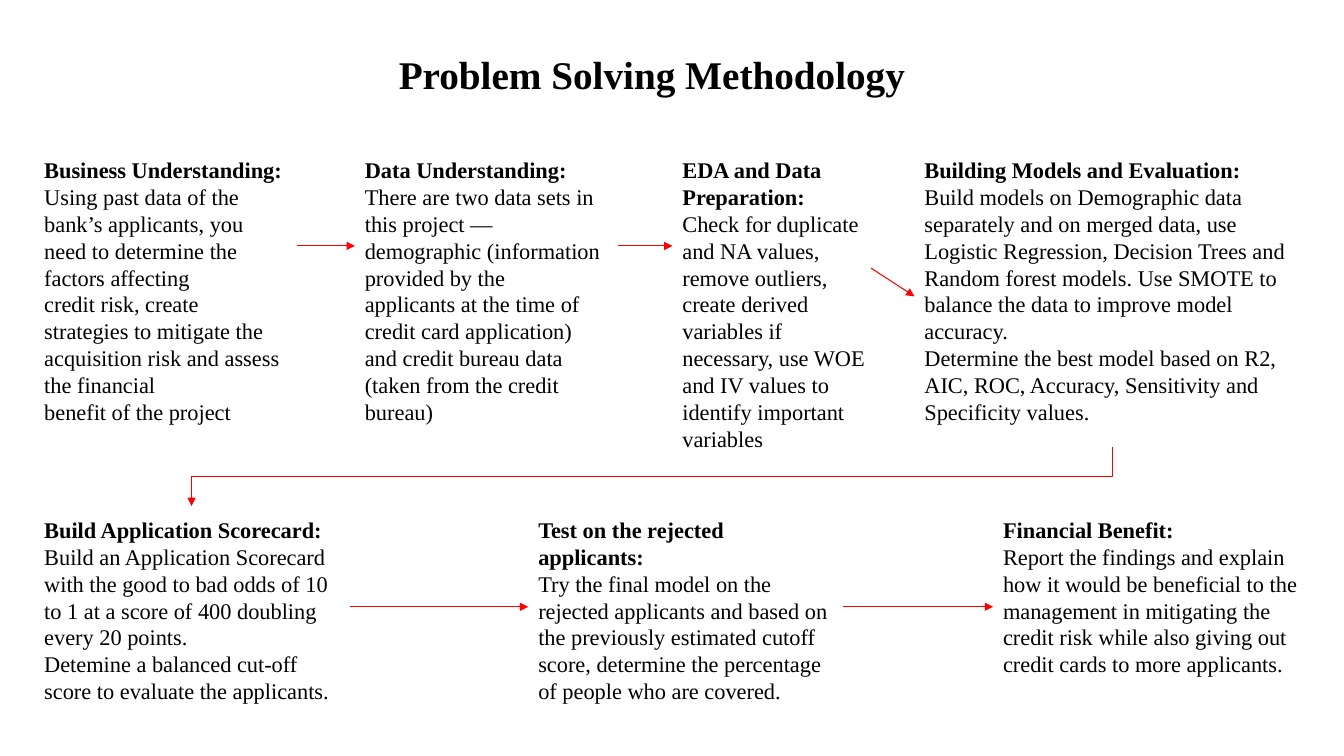
"""Build the Problem Solving Methodology slide: seven steps joined by arrows."""
from typing import NamedTuple

import pptx
import pptx.dml.color
import pptx.enum.shapes
import pptx.enum.text
import pptx.oxml
import pptx.oxml.ns
import pptx.util

Inches, Pt = pptx.util.Inches, pptx.util.Pt
BLACK = pptx.dml.color.RGBColor(0x00, 0x00, 0x00)
RED = pptx.dml.color.RGBColor(0xFF, 0x00, 0x00)
FONT = "Times New Roman"
TOP_ROW, BOTTOM_ROW = 1.45, 5.02
TOP_ARROW, BOTTOM_ARROW = 2.44, 6.02


class Step(NamedTuple):
    left: float
    top: float
    width: float
    height: float
    heading: str
    body: tuple[str, ...]


class Arrow(NamedTuple):
    x1: float
    y1: float
    x2: float
    y2: float


STEPS = [
    Step(0.34, TOP_ROW, 2.61, 1.98, "Business Understanding:", (
        "Using past data of the bank’s applicants, you need to determine the factors affecting",
        "credit risk, create strategies to mitigate the acquisition risk and assess the financial",
        "benefit of the project")),
    Step(3.52, TOP_ROW, 2.61, 1.98, "Data Understanding:", (
        "There are two data sets in this project — demographic (information provided by the",
        "applicants at the time of credit card application) and credit bureau data "
        "(taken from the credit bureau)")),
    Step(6.67, TOP_ROW, 2.13, 1.98, "EDA and Data Preparation:", (
        "Check for duplicate and NA values, remove outliers, create derived variables if "
        "necessary, use WOE and IV values to identify important variables",)),
    Step(9.07, TOP_ROW, 3.92, 2.97, "Building Models and Evaluation:", (
        "Build models on Demographic data separately and on merged data, use Logistic "
        "Regression, Decision Trees and Random forest models. Use SMOTE to balance the data "
        "to improve model accuracy.",
        "Determine the best model based on R2, AIC, ROC, Accuracy, Sensitivity and",
        "Specificity values.")),
    Step(0.34, BOTTOM_ROW, 3.12, 1.98, "Build Application Scorecard:", (
        "Build an Application Scorecard with the good to bad odds of 10 to 1 at a score of "
        "400 doubling every 20 points.",
        "Detemine a balanced cut-off score to evaluate the applicants.")),
    Step(5.24, BOTTOM_ROW, 3.12, 1.98, "Test on the rejected applicants:", (
        "Try the final model on the rejected applicants and based on the previously estimated "
        "cutoff score, determine the percentage of people who are covered.",)),
    Step(9.85, BOTTOM_ROW, 3.12, 1.98, "Financial Benefit:", (
        "Report the findings and explain how it would be beneficial to the management in "
        "mitigating the credit risk while also giving out credit cards to more applicants.",)),
]

ARROWS = [
    Arrow(2.95, TOP_ARROW, 3.52, TOP_ARROW),
    Arrow(6.13, TOP_ARROW, 6.67, TOP_ARROW),
    Arrow(8.64, 2.66, 9.07, 2.94),
    Arrow(3.47, BOTTOM_ARROW, 5.24, BOTTOM_ARROW),
    Arrow(8.36, BOTTOM_ARROW, 9.85, BOTTOM_ARROW),
]
ROW_TURN = Arrow(11.03, 4.43, 1.9, 5.02)


def write(p, text: str, *, size: float = 16, bold: bool = False,
          align=pptx.enum.text.PP_ALIGN.LEFT, spacing=Pt(19.2)) -> None:
    """Add one formatted run to a paragraph."""
    p.alignment = align
    p.line_spacing = spacing
    r = p.add_run()
    r.text = text
    r.font.name, r.font.size, r.font.bold = FONT, Pt(size), bold
    r.font.color.rgb = BLACK


def set_frame(tf) -> None:
    """Give a text frame wrapping, top anchoring and equal insets."""
    tf.word_wrap = True
    tf.auto_size = pptx.enum.text.MSO_AUTO_SIZE.NONE
    tf.vertical_anchor = pptx.enum.text.MSO_ANCHOR.TOP
    tf.margin_left = tf.margin_right = tf.margin_top = tf.margin_bottom = Inches(0.1)


def add_title(s, text: str) -> None:
    """Place and fill the title placeholder."""
    sp = s.shapes.title
    sp.left, sp.top, sp.width, sp.height = map(Inches, (3.48, 0.45, 5.97, 0.73))
    set_frame(sp.text_frame)
    write(sp.text_frame.paragraphs[0], text, size=28, bold=True,
          align=pptx.enum.text.PP_ALIGN.CENTER, spacing=0.9)


def add_step(s, step: Step) -> None:
    """Draw one step: a bold heading over its body paragraphs."""
    sp = s.shapes.add_textbox(*map(Inches, step[:4]))
    tf = sp.text_frame
    set_frame(tf)
    write(tf.paragraphs[0], step.heading, bold=True)
    for text in step.body:
        write(tf.add_paragraph(), text)


def add_arrow(s, arrow: Arrow, kind=pptx.enum.shapes.MSO_CONNECTOR.STRAIGHT):
    """Draw a red connector with a triangle at its end."""
    cxn = s.shapes.add_connector(kind, *map(Inches, arrow))
    cxn.line.color.rgb = RED
    cxn.line.width = Pt(0.75)
    ln = cxn.line._get_or_add_ln()
    ln.append(pptx.oxml.parse_xml(
        f'<a:tailEnd {pptx.oxml.ns.nsdecls("a")} type="triangle"/>'))
    cxn._element.spPr.append(pptx.oxml.parse_xml(
        f'<a:effectLst {pptx.oxml.ns.nsdecls("a")}/>'))
    return cxn


def add_row_turn(s, arrow: Arrow) -> None:
    """Draw a down-left-down elbow as an elbow turned by a quarter."""
    mid_x, mid_y = (arrow.x1 + arrow.x2) / 2, (arrow.y1 + arrow.y2) / 2
    half_w, half_h = (arrow.y2 - arrow.y1) / 2, (arrow.x1 - arrow.x2) / 2
    turned = Arrow(mid_x - half_w, mid_y - half_h, mid_x + half_w, mid_y + half_h)
    cxn = add_arrow(s, turned, pptx.enum.shapes.MSO_CONNECTOR.ELBOW)
    cxn._element.spPr.find(pptx.oxml.ns.qn("a:xfrm")).set("rot", "5400000")


def main() -> None:
    """Build and save the slide."""
    prs = pptx.Presentation()
    prs.slide_width, prs.slide_height = Inches(13.33), Inches(7.5)
    s = prs.slides.add_slide(prs.slide_layouts[5])
    add_title(s, "Problem Solving Methodology")
    for step in STEPS:
        add_step(s, step)
    for arrow in ARROWS:
        add_arrow(s, arrow)
    add_row_turn(s, ROW_TURN)
    prs.save("out.pptx")


main()
